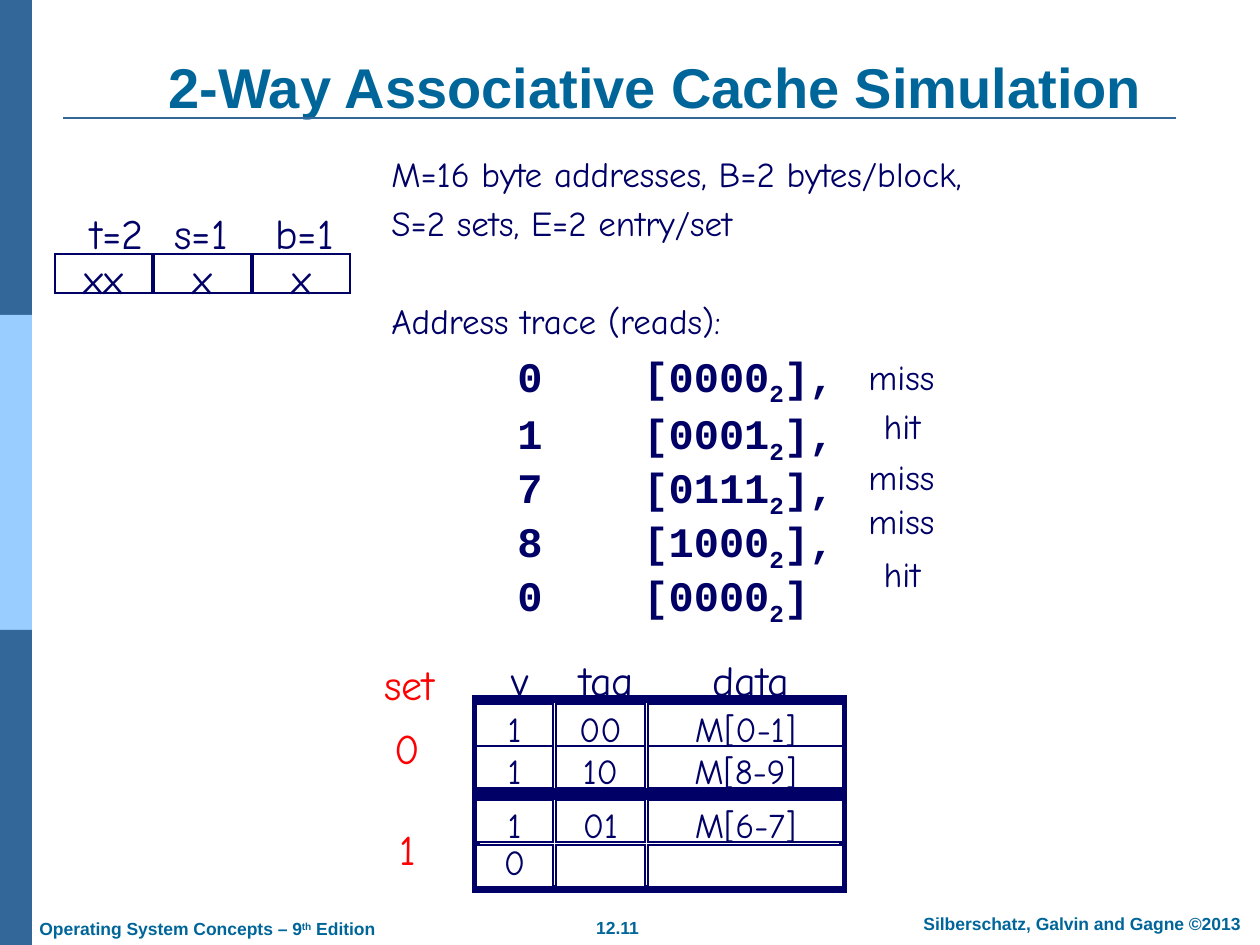
import dataclasses
import typing

import lxml.etree
import pptx
import pptx.dml.color
import pptx.enum.shapes
import pptx.enum.text
import pptx.oxml.ns
import pptx.util

EMU_PER_PX = 914400 / 126
NAVY, TEAL, STEEL, SKY, RED, WHITE = "000066", "006699", "336699", "99CCFF", "FF0000", "FFFFFF"
HAND, SANS, MONO = "Comic Neue", "Arial", "Courier New"
LEFT, CENTER = pptx.enum.text.PP_ALIGN.LEFT, pptx.enum.text.PP_ALIGN.CENTER
LOOSE, SNUG, TIGHT = 1.16, 0.94, 0.75


@dataclasses.dataclass(frozen=True)
class Box:
    left: int
    top: int
    width: int
    height: int

    def emu(self) -> list[int]:
        return [px(value) for value in dataclasses.astuple(self)]


class Span(typing.NamedTuple):
    text: str
    baseline: int = 0  # percent above or below the line


class Label(typing.NamedTuple):
    text: str
    box: Box
    color: str = NAVY


def px(value: int) -> int:
    return round(value * EMU_PER_PX)


def rgb(color: str) -> pptx.dml.color.RGBColor:
    return pptx.dml.color.RGBColor.from_string(color)


def write(frame, text: str | list[Span], *, size: int = 24, font: str = HAND,
          color: str = NAVY, bold: bool = False, align=LEFT, spacing: float = LOOSE,
          before: float = 0, tabs: bool = False) -> None:
    """Add one paragraph to the frame, filling its first one if still empty."""
    para = frame.add_paragraph() if frame.text else frame.paragraphs[0]
    para.alignment, para.line_spacing = align, spacing
    para.space_before = pptx.util.Pt(before)
    if tabs:
        stops = lxml.etree.SubElement(para._p.get_or_add_pPr(), pptx.oxml.ns.qn("a:tabLst"))
        for inch in range(1, 8):
            lxml.etree.SubElement(stops, pptx.oxml.ns.qn("a:tab"),
                                  pos=str(pptx.util.Inches(inch)), algn="l")
    for span in [Span(text)] if isinstance(text, str) else text:
        run = para.add_run()
        run.text = span.text
        run.font.size, run.font.name, run.font.bold = pptx.util.Pt(size), font, bold
        run.font.color.rgb = rgb(color)
        if span.baseline:
            run.font._element.set("baseline", str(span.baseline * 1000))


def add_text(page, box: Box, *, wrap: bool = False):
    shape = page.shapes.add_textbox(*box.emu())
    frame = shape.text_frame
    frame.word_wrap = wrap
    frame.auto_size = pptx.enum.text.MSO_AUTO_SIZE.SHAPE_TO_FIT_TEXT
    return frame


def add_rect(page, box: Box, *, fill: str = WHITE, line: str | None = NAVY, weight: float = 1):
    shape = page.shapes.add_shape(pptx.enum.shapes.MSO_SHAPE.RECTANGLE, *box.emu())
    shape.shadow.inherit = False
    shape.fill.solid()
    shape.fill.fore_color.rgb = rgb(fill)
    if line:
        shape.line.color.rgb = rgb(line)
        shape.line.width = pptx.util.Pt(weight)
        # Square corners
        outline = shape._element.spPr.find(pptx.oxml.ns.qn("a:ln"))
        lxml.etree.SubElement(outline, pptx.oxml.ns.qn("a:miter"), lim="800000")
    else:
        shape.line.fill.background()
    return shape


def add_cell(page, box: Box, text: str, *, size: int = 20, spacing: float = LOOSE) -> None:
    frame = add_rect(page, box).text_frame
    frame.word_wrap = False
    frame.vertical_anchor = pptx.enum.text.MSO_ANCHOR.MIDDLE
    if text:
        write(frame, text, size=size, align=CENTER, spacing=spacing)


def add_label(page, label: Label) -> None:
    write(add_text(page, label.box), label.text, color=label.color)


def draw_frame(page) -> None:
    # Side bar and title rule
    for index, color in enumerate((STEEL, SKY, STEEL)):
        add_rect(page, Box(0, 315 * index, 32, 315), fill=color, line=None)
    rule = page.shapes.add_connector(pptx.enum.shapes.MSO_CONNECTOR.STRAIGHT,
                                     px(63), px(118), px(1176), px(118))
    rule.line.color.rgb = rgb(STEEL)
    rule.line.width = pptx.util.Pt(1.5)
    lxml.etree.SubElement(rule._element.spPr, pptx.oxml.ns.qn("a:effectLst"))

    # Footer
    footer = {"size": 10, "font": SANS, "color": TEAL, "bold": True, "spacing": 1.0}
    write(add_text(page, Box(551, 911, 133, 34)), "12.11", align=CENTER, **footer)
    write(add_text(page, Box(895, 907, 374, 34), wrap=True),
          "Silberschatz, Galvin and Gagne ©2013", align=CENTER, **footer)
    write(add_text(page, Box(27, 912, 370, 34)),
          [Span("Operating System Concepts – 9"), Span("th", 30), Span(" Edition")], **footer)


def draw_title(page) -> None:
    title = page.shapes.title
    title.left, title.top, title.width, title.height = Box(55, 18, 1201, 108).emu()
    frame = title.text_frame
    frame.auto_size = pptx.enum.text.MSO_AUTO_SIZE.NONE
    frame.vertical_anchor = pptx.enum.text.MSO_ANCHOR.BOTTOM
    write(frame, "2-Way Associative Cache Simulation", size=32, font=SANS,
          color=TEAL, bold=True, align=CENTER, spacing=1.0)


def draw_trace(page) -> None:
    # Cache parameters and address trace
    frame = add_text(page, Box(379, 140, 849, 489), wrap=True)
    write(frame, "M=16 byte addresses, B=2 bytes/block,", size=20)
    write(frame, "S=2 sets, E=2 entry/set", size=20)
    write(frame, "Address trace (reads):", size=20, before=28)
    reads = (0, 1, 7, 8, 0)
    for index, address in enumerate(reads):
        ending = "]," if index < len(reads) - 1 else "]"
        write(frame, [Span(f"\t{address}\t[{address:04b}"), Span("2", -25), Span(ending)],
              font=MONO, bold=True, spacing=SNUG if index else LOOSE, tabs=True)

    # Outcome of each read
    for outcome, top in zip(("miss", "hit", "miss", "miss", "hit"), (359, 408, 459, 503, 556)):
        box = Box(856, top, 91, 44) if outcome == "miss" else Box(871, top, 62, 44)
        write(add_text(page, box), outcome, size=20, align=CENTER, spacing=TIGHT)


def draw_address_fields(page) -> None:
    for index, bits in enumerate(("xx", "x", "x")):
        add_cell(page, Box(55 + 99 * index, 254, 97, 39), bits, size=24)
    for text, left in (("t=2", 78), ("s=1", 162), ("b=1", 263)):
        add_label(page, Label(text, Box(left, 193, 90, 71)))


def draw_cache(page) -> None:
    # Heavy outline of each set
    for top in (699, 796):
        add_rect(page, Box(476, top, 367, 93), weight=4.5)

    # Column heads and set numbers
    for label in (Label("v", Box(499, 640, 43, 71)), Label("tag", Box(567, 640, 81, 71)),
                  Label("data", Box(700, 640, 102, 71)), Label("set", Box(372, 644, 76, 71), RED),
                  Label("0", Box(382, 708, 50, 71), RED), Label("1", Box(387, 809, 42, 71), RED)):
        add_label(page, label)

    # Cache lines
    columns = ((476, 77), (556, 89), (648, 195))
    lines = ((704, ("1", "00", "M[0-1]")), (746, ("1", "10", "M[8-9]")),
             (800, ("1", "01", "M[6-7]")), (845, ("0", "", "")))
    for top, values in lines:
        spacing = LOOSE if all(values) else TIGHT
        for (left, width), value in zip(columns, values):
            add_cell(page, Box(left, top, width, 42), value, spacing=spacing)


def main() -> None:
    deck = pptx.Presentation()
    deck.slide_width, deck.slide_height = px(1260), px(945)
    page = deck.slides.add_slide(deck.slide_layouts[5])  # title only
    draw_frame(page)
    draw_title(page)
    draw_trace(page)
    draw_address_fields(page)
    draw_cache(page)
    deck.save("out.pptx")


if __name__ == "__main__":
    main()
